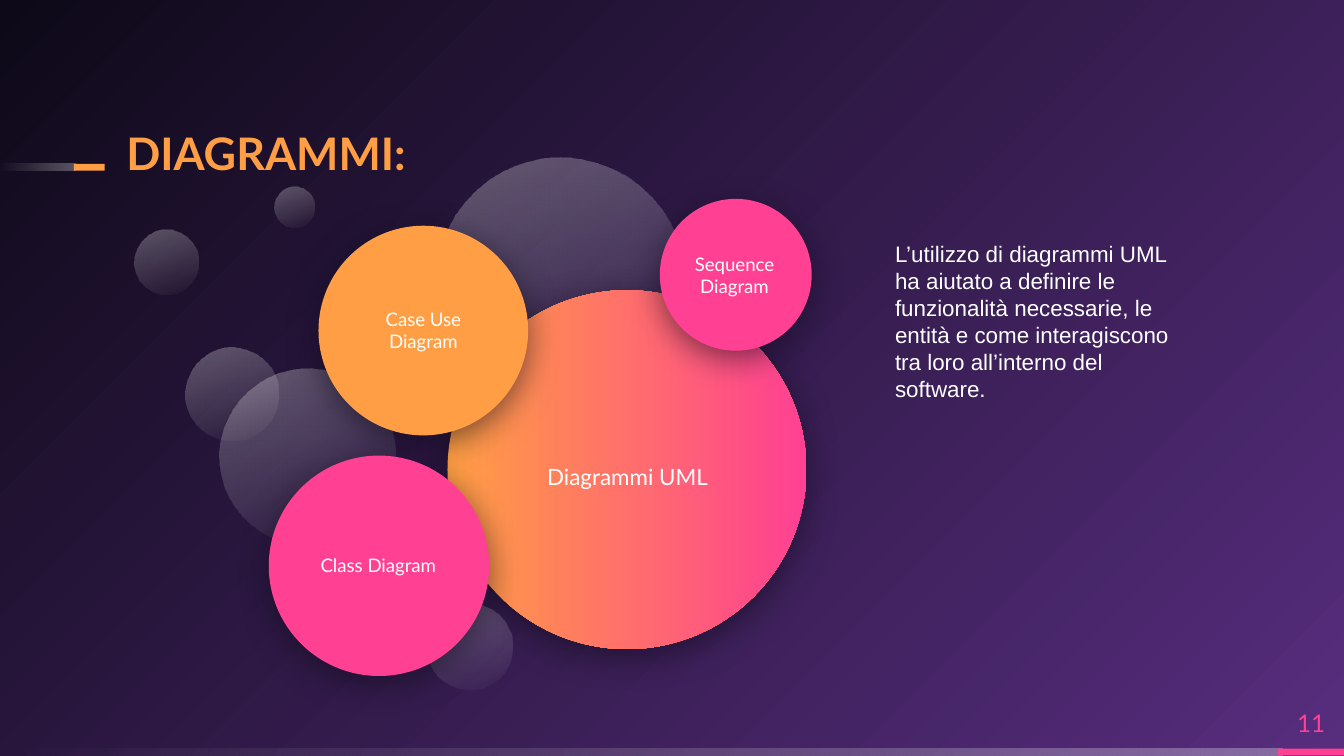
from pptx import Presentation
from pptx.dml.color import RGBColor
from pptx.enum.shapes import MSO_SHAPE
from pptx.enum.text import MSO_ANCHOR, PP_ALIGN
from pptx.oxml import parse_xml
from pptx.oxml.ns import nsdecls, qn
from pptx.util import Inches, Pt

RECTANGLE, OVAL = MSO_SHAPE.RECTANGLE, MSO_SHAPE.OVAL
TOP, MIDDLE, BOTTOM = MSO_ANCHOR.TOP, MSO_ANCHOR.MIDDLE, MSO_ANCHOR.BOTTOM
LEFT, CENTER = PP_ALIGN.LEFT, PP_ALIGN.CENTER

ORANGE, PINK, WHITE = "FF9E44", "FF4093", "FFFFFF"
NIGHT, PURPLE = "0E0918", "572D7E"
# Gradient stops: position, colour, opacity (all in percent)
FADE = [(0, WHITE, 30), (100, WHITE, 0)]
SUNSET = [(0, ORANGE, 100), (100, PINK, 100)]
BACKDROP = [(0, PURPLE, 100), (100, NIGHT, 100)]

TITLE = "DIAGRAMMI:"
DESCRIPTION = (
    "L’utilizzo di diagrammi UML ha aiutato a definire le funzionalità "
    "necessarie, le entità e come interagiscono tra loro all’interno del software."
)
PAGE_NUMBER = "11"

# Left, top, width, height, fill
BARS = [
    (0, 5.57, 9.54, 0.05, FADE),
    (9.51, 5.57, 0.49, 0.05, PINK),
    (0, 1.22, 0.56, 0.05, FADE),
    (0.55, 1.22, 0.23, 0.05, ORANGE),
]
# Left, top, diameter
BUBBLES = [
    (3.17, 4.49, 0.64),
    (1, 1.71, 0.48),
    (1.63, 2.74, 1.31),
    (3.25, 1.17, 1.84),
    (1.38, 2.59, 0.69),
    (2.04, 1.39, 0.3),
]
# Label, text size, (left, top, diameter), fill, label box
DIAGRAMS = [
    ("Diagrammi UML", 12, (3.33, 2.16, 2.67), SUNSET, (3.65, 2.91, 2.04, 1.27)),
    ("Case Use Diagram", 10, (2.37, 1.68, 1.56), ORANGE, (2.62, 1.94, 1.06, 1.03)),
    ("Class Diagram", 10, (2, 3.39, 1.64), PINK, (2.23, 3.69, 1.17, 1.03)),
    ("Sequence Diagram", 10, (4.91, 1.48, 1.13), PINK, (5.03, 1.67, 0.87, 0.75)),
]


def color(value):
    return RGBColor.from_string(value)


def color_xml(value, opacity):
    return f'<a:srgbClr val="{value}"><a:alpha val="{opacity * 1000}"/></a:srgbClr>'


def set_gradient(fill, parent, stops, direction):
    """Give parent a gradient; direction is the a:lin or a:path element."""
    fill.background()
    stops_xml = "".join(
        f'<a:gs pos="{position * 1000}">{color_xml(value, opacity)}</a:gs>'
        for position, value, opacity in stops
    )
    gradient = parse_xml(
        f'<a:gradFill {nsdecls("a")} rotWithShape="1">'
        f"<a:gsLst>{stops_xml}</a:gsLst>{direction}</a:gradFill>"
    )
    parent.replace(parent.find(qn("a:noFill")), gradient)


def add_filled_shape(slide, kind, box, fill, angle=180, rotation=0):
    """Fill is a colour or a list of gradient stops."""
    shape = slide.shapes.add_shape(kind, *map(Inches, box))
    shape.shadow.inherit = False
    shape.rotation = rotation
    if isinstance(fill, str):
        shape.fill.solid()
        shape.fill.fore_color.rgb = color(fill)
    else:
        direction = f'<a:lin ang="{angle * 60000}" scaled="0"/>'
        set_gradient(shape.fill, shape.element.spPr, fill, direction)
    shape.line.fill.background()
    return shape


def add_soft_shadow(shape):
    effects = shape.element.spPr.find(qn("a:effectLst"))
    effects.append(parse_xml(
        f'<a:outerShdw {nsdecls("a")} blurRad="{Pt(18)}" dist="{Pt(4)}" '
        f'dir="5400000" algn="bl" rotWithShape="0">{color_xml(NIGHT, 55)}</a:outerShdw>'
    ))


def add_text(slide, text, box, size, font="Lato", fill=WHITE, bold=False,
             align=LEFT, anchor=TOP, inset=0, spacing=0, line_spacing=1.0):
    frame = slide.shapes.add_textbox(*map(Inches, box)).text_frame
    frame.word_wrap = True
    frame.vertical_anchor = anchor
    frame.margin_left = frame.margin_right = Inches(inset)
    frame.margin_top = frame.margin_bottom = Inches(inset)
    paragraph = frame.paragraphs[0]
    paragraph.alignment = align
    paragraph.line_spacing = line_spacing
    paragraph.space_before = paragraph.space_after = Pt(spacing)
    run = paragraph.add_run()
    run.text = text
    run.font.name = font
    run.font.size = Pt(size)
    run.font.bold = bold
    run.font.color.rgb = color(fill)


def main():
    presentation = Presentation()
    presentation.slide_width = Inches(10)
    presentation.slide_height = Inches(10 * 9 / 16)
    slide = presentation.slides.add_slide(presentation.slide_layouts[6])

    background_fill = slide.background.fill
    background = slide.element.find(f'.//{qn("p:bgPr")}')
    corner = '<a:path path="circle"><a:fillToRect l="100000" t="100000"/></a:path>'
    set_gradient(background_fill, background, BACKDROP, corner)

    for *box, fill in BARS:
        add_filled_shape(slide, RECTANGLE, box, fill)
    add_text(slide, PAGE_NUMBER, (9.51, 5.19, 0.49, 0.38), 13,
             fill=PINK, align=CENTER, anchor=MIDDLE)

    for left, top, diameter in BUBBLES:
        add_filled_shape(slide, OVAL, (left, top, diameter, diameter), FADE, rotation=250)

    for label, size, (left, top, diameter), fill, label_box in DIAGRAMS:
        circle = add_filled_shape(slide, OVAL, (left, top, diameter, diameter), fill, angle=0)
        add_soft_shadow(circle)
        add_text(slide, label, label_box, size, align=CENTER, anchor=MIDDLE, inset=0.1)

    add_text(slide, TITLE, (0.94, 0.91, 5.8, 0.43), 24, fill=ORANGE, bold=True,
             anchor=BOTTOM, line_spacing=0.9)
    add_text(slide, DESCRIPTION, (6.66, 1.79, 2.17, 1.59), 12, font="Arial", spacing=8)

    presentation.save("out.pptx")


if __name__ == "__main__":
    main()
